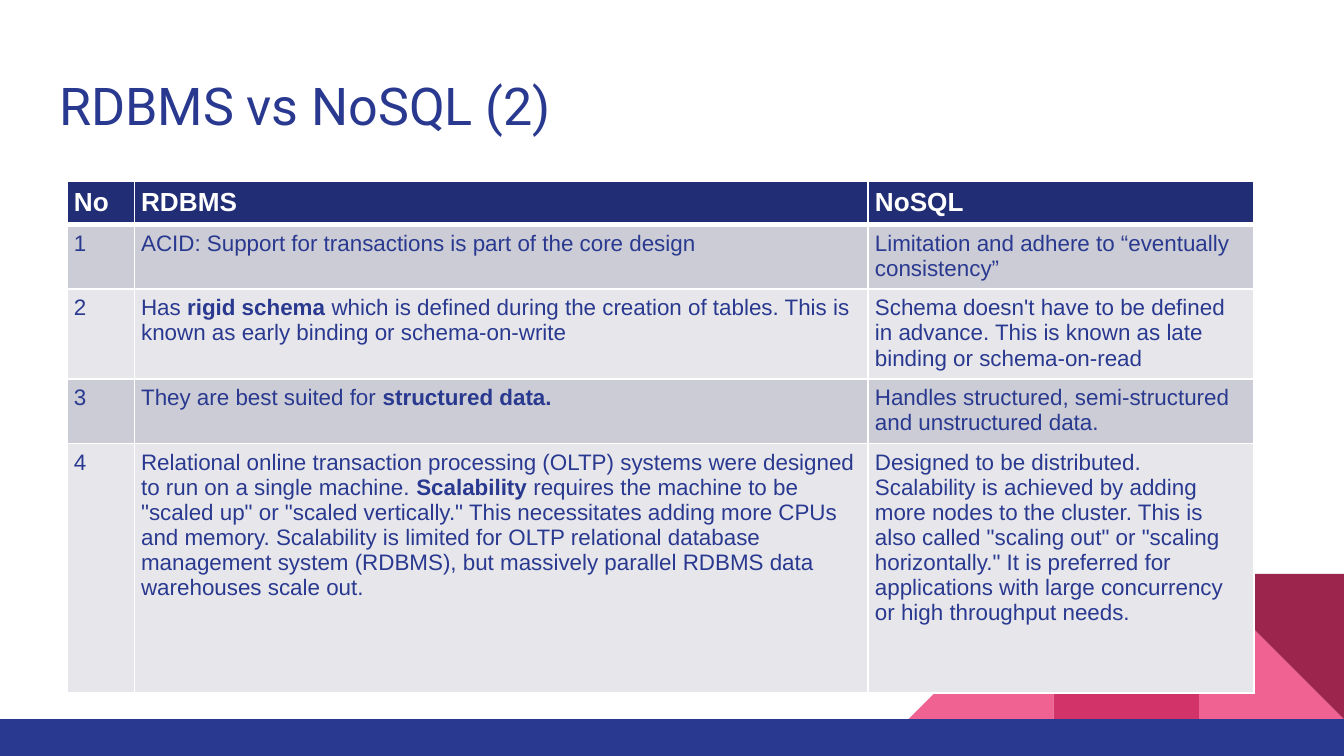
"""Build the slide comparing RDBMS with NoSQL in a table."""
import pptx
import pptx.util
import pptx.dml.color
import pptx.enum.shapes
import pptx.enum.text
import pptx.oxml
import pptx.oxml.ns

Inches = pptx.util.Inches
Pt = pptx.util.Pt

COLORS = {
    "navy": "2A3990",
    "header": "212D74",
    "odd": "CBCCD5",
    "even": "E7E7EB",
    "white": "FFFFFF",
    "pink": "F06292",
    "rose": "D23369",
    "wine": "9C254D",
}
TITLE = "RDBMS vs NoSQL (2)"
HEADINGS = ["No", "RDBMS", "NoSQL"]
COMPARISONS = [
    ("ACID: Support for transactions is part of the core design",
     "Limitation and adhere to “eventually consistency”"),
    ("Has **rigid schema **which is defined during the creation of tables. "
     "This is known as early binding or schema-on-write",
     "Schema doesn't have to be defined in advance. "
     "This is known as late binding or schema-on-read"),
    ("They are best suited for **structured data.**",
     "Handles structured, semi-structured and unstructured data."),
    ("Relational online transaction processing (OLTP) systems were designed "
     "to run on a single machine. **Scalability **requires the machine to be "
     '"scaled up" or "scaled vertically." This necessitates adding more CPUs '
     "and memory. Scalability is limited for OLTP relational database "
     "management system (RDBMS), but massively parallel RDBMS data "
     "warehouses scale out.",
     "Designed to be distributed. Scalability is achieved by adding more "
     'nodes to the cluster. This is also called "scaling out" or "scaling '
     'horizontally." It is preferred for applications with large concurrency '
     "or high throughput needs."),
]
COLUMN_WIDTHS = [0.5, 5.46, 2.87]
ROW_HEIGHTS = [0.31, 0.48, 0.67, 0.48, 1.86]
HEADER_BORDERS = {"L": 1, "R": 1, "T": 1, "B": 3}

WIDTH = 10
HEIGHT = WIDTH * 9 / 16
TILE = 1.08
FLOOR = 5.35
CEILING = FLOOR - TILE
TILE_EDGES = [WIDTH - TILE * n for n in (3, 2, 1)]
TRIANGLES = [
    ("pink", [(TILE_EDGES[2], FLOOR), (WIDTH, FLOOR), (TILE_EDGES[2], CEILING)]),
    ("pink", [(TILE_EDGES[1], FLOOR), (TILE_EDGES[0], FLOOR), (TILE_EDGES[1], CEILING)]),
    ("wine", [(WIDTH, CEILING), (TILE_EDGES[2], CEILING), (WIDTH, FLOOR)]),
]
RECTANGLES = [
    ("rose", (TILE_EDGES[1], CEILING, TILE, TILE)),
    ("navy", (0, FLOOR, WIDTH, HEIGHT - FLOOR)),
]


def rgb(name):
    return pptx.dml.color.RGBColor.from_string(COLORS[name])


def paint(shape, color):
    shape.fill.solid()
    shape.fill.fore_color.rgb = rgb(color)
    shape.line.fill.background()
    shape.shadow.inherit = False


def set_font(font, name, size, color):
    font.name = name
    font.size = Pt(size)
    font.color.rgb = rgb(color)


def add_decoration(slide):
    for color, corners in TRIANGLES:
        points = [(Inches(x), Inches(y)) for x, y in corners]
        builder = slide.shapes.build_freeform(*points[0])
        builder.add_line_segments(points[1:], close=True)
        paint(builder.convert_to_shape(), color)
    for color, box in RECTANGLES:
        rectangle = slide.shapes.add_shape(
            pptx.enum.shapes.MSO_SHAPE.RECTANGLE, *map(Inches, box))
        paint(rectangle, color)


def add_title(slide):
    title = slide.shapes.title
    title.left, title.top, title.width, title.height = map(
        Inches, (0.34, 0.45, 9.32, 0.66))
    frame = title.text_frame
    frame.text = TITLE
    frame.margin_left = frame.margin_right = Inches(0.1)
    frame.margin_top = frame.margin_bottom = Inches(0.1)
    frame.vertical_anchor = pptx.enum.text.MSO_ANCHOR.TOP
    heading = frame.paragraphs[0]
    heading.alignment = pptx.enum.text.PP_ALIGN.LEFT
    set_font(heading.font, "Roboto", 27.9, "navy")


def add_header_borders(cell):
    properties = cell._tc.get_or_add_tcPr()
    for index, (side, width) in enumerate(HEADER_BORDERS.items()):
        properties.insert(index, pptx.oxml.parse_xml(
            f'<a:ln{side} {pptx.oxml.ns.nsdecls("a")} w="{Pt(width)}">'
            f'<a:solidFill><a:srgbClr val="{COLORS["white"]}"/></a:solidFill>'
            f'</a:ln{side}>'))


def fill_cell(cell, text, fill, size, color, bold):
    cell.fill.solid()
    cell.fill.fore_color.rgb = rgb(fill)
    cell.margin_left = cell.margin_right = Inches(0.05)
    cell.margin_top = cell.margin_bottom = Inches(0.05)
    paragraph = cell.text_frame.paragraphs[0]
    set_font(paragraph.font, "Arial", size, color)
    for index, part in enumerate(text.split("**")):
        if part:
            run = paragraph.add_run()
            run.text = part
            set_font(run.font, "Arial", size, color)
            run.font.bold = bold or index % 2 == 1


def add_comparison(slide):
    rows = [HEADINGS] + [(str(n), *pair) for n, pair in enumerate(COMPARISONS, 1)]
    table = slide.shapes.add_table(
        len(rows), len(HEADINGS), Inches(0.5), Inches(1.35),
        Inches(sum(COLUMN_WIDTHS)), Inches(sum(ROW_HEIGHTS))).table
    for column, width in zip(table.columns, COLUMN_WIDTHS):
        column.width = Inches(width)
    for r, (texts, height) in enumerate(zip(rows, ROW_HEIGHTS)):
        table.rows[r].height = Inches(height)
        if r == 0:
            look = ("header", 14, "white", True)
        else:
            look = ("odd" if r % 2 else "even", 12, "navy", False)
        for c, text in enumerate(texts):
            fill_cell(table.cell(r, c), text, *look)
    for cell in table.rows[0].cells:
        add_header_borders(cell)


def main():
    deck = pptx.Presentation()
    deck.slide_width, deck.slide_height = Inches(WIDTH), Inches(HEIGHT)
    slide = deck.slides.add_slide(deck.slide_layouts[5])
    add_decoration(slide)
    add_title(slide)
    add_comparison(slide)
    deck.save("out.pptx")


if __name__ == "__main__":
    main()
